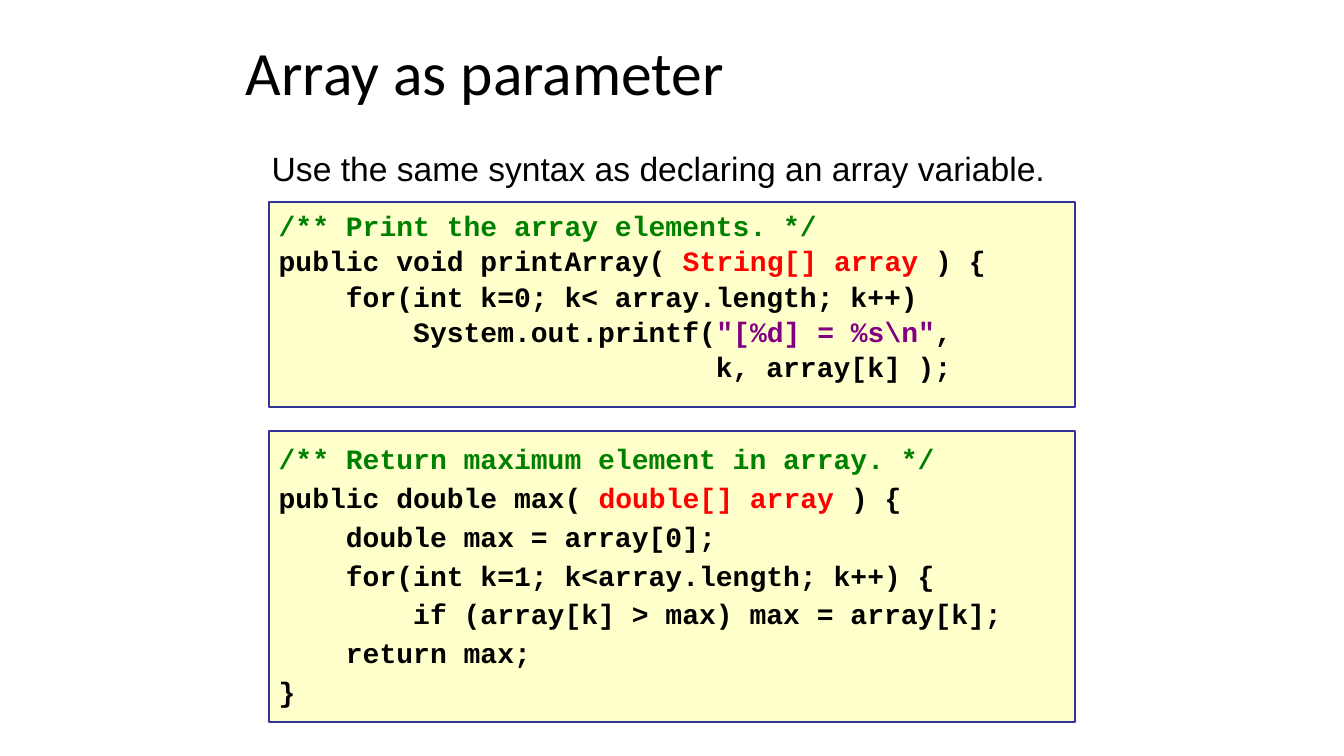
from typing import NamedTuple

from pptx import Presentation
from pptx.dml.color import RGBColor
from pptx.enum.shapes import MSO_SHAPE
from pptx.enum.text import MSO_ANCHOR, PP_ALIGN
from pptx.shapes.autoshape import Shape
from pptx.slide import Slide
from pptx.util import Pt

BLACK = RGBColor(0x00, 0x00, 0x00)
COMMENT_GREEN = RGBColor(0x00, 0x80, 0x00)
PARAMETER_RED = RGBColor(0xFF, 0x00, 0x00)
STRING_PURPLE = RGBColor(0x80, 0x00, 0x80)
PANEL_YELLOW = RGBColor(0xFF, 0xFF, 0xCC)
PANEL_BLUE = RGBColor(0x33, 0x33, 0x99)

PANEL_LEFT, PANEL_WIDTH = 192, 576


class Span(NamedTuple):
    text: str
    color: RGBColor = BLACK


Line = list[Span]


class CodePanel(NamedTuple):
    top: float
    height: float
    line_spacing: float
    lines: list[Line]


CODE_PANELS = [
    CodePanel(144, 147, 0.9, [
        [Span("/** Print the array elements. */", COMMENT_GREEN)],
        [Span("public void printArray( "), Span("String[] array", PARAMETER_RED), Span(" ) {")],
        [Span("    for(int k=0; k< array.length; k++)")],
        [Span("        System.out.printf("), Span('"[%d] = %s\\n"', STRING_PURPLE), Span(",")],
        [Span("                          k, array[k] );")],
    ]),
    CodePanel(308, 207.5, 1.0, [
        [Span("/** Return maximum element in array. */", COMMENT_GREEN)],
        [Span("public double max( "), Span("double[] array", PARAMETER_RED), Span(" ) {")],
        [Span("    double max = array[0];")],
        [Span("    for(int k=1; k<array.length; k++) {")],
        [Span("        if (array[k] > max) max = array[k];")],
        [Span("    return max;")],
        [Span("}")],
    ]),
]


def write_text(holder: Shape, lines: list[Line], *, font: str, size: float,
               bold: bool = False, line_spacing: float = 1.0, space_before: float = 0,
               inset_top: float = 3.6, anchor: MSO_ANCHOR = MSO_ANCHOR.TOP) -> None:
    frame = holder.text_frame
    frame.word_wrap = True
    frame.vertical_anchor = anchor
    frame.margin_left = frame.margin_right = Pt(7.2)
    frame.margin_top, frame.margin_bottom = Pt(inset_top), Pt(3.6)
    for index, line in enumerate(lines):
        paragraph = frame.add_paragraph() if index else frame.paragraphs[0]
        paragraph.alignment = PP_ALIGN.LEFT
        paragraph.line_spacing = line_spacing
        paragraph.space_before = Pt(space_before if index else 0)
        for span in line:
            run = paragraph.add_run()
            run.text = span.text
            run.font.name, run.font.size, run.font.bold = font, Pt(size), bold
            run.font.color.rgb = span.color


def add_code_panel(slide: Slide, panel: CodePanel) -> None:
    box = slide.shapes.add_shape(MSO_SHAPE.RECTANGLE, Pt(PANEL_LEFT), Pt(panel.top),
                                 Pt(PANEL_WIDTH), Pt(panel.height))
    box.shadow.inherit = False
    box.fill.solid()
    box.fill.fore_color.rgb = PANEL_YELLOW
    box.line.color.rgb = PANEL_BLUE
    box.line.width = Pt(1.5)
    write_text(box, panel.lines, font="Courier New", size=20, bold=True,
               line_spacing=panel.line_spacing, space_before=3.75, inset_top=7.35)


def main() -> None:
    deck = Presentation()
    deck.slide_width, deck.slide_height = Pt(960), Pt(540)
    slide = deck.slides.add_slide(deck.slide_layouts[6])

    title = slide.shapes.add_textbox(Pt(168.5), Pt(20), Pt(623.5), Pt(68.5))
    write_text(title, [[Span("Array as parameter")]], font="Calibri", size=44,
               line_spacing=0.9, anchor=MSO_ANCHOR.MIDDLE)

    intro = slide.shapes.add_textbox(Pt(187), Pt(100), Pt(618.5), Pt(36))
    write_text(intro, [[Span("Use the same syntax as declaring an array variable.")]],
               font="Arial", size=24, inset_top=5.5)

    for panel in CODE_PANELS:
        add_code_panel(slide, panel)

    deck.save("out.pptx")


if __name__ == "__main__":
    main()
